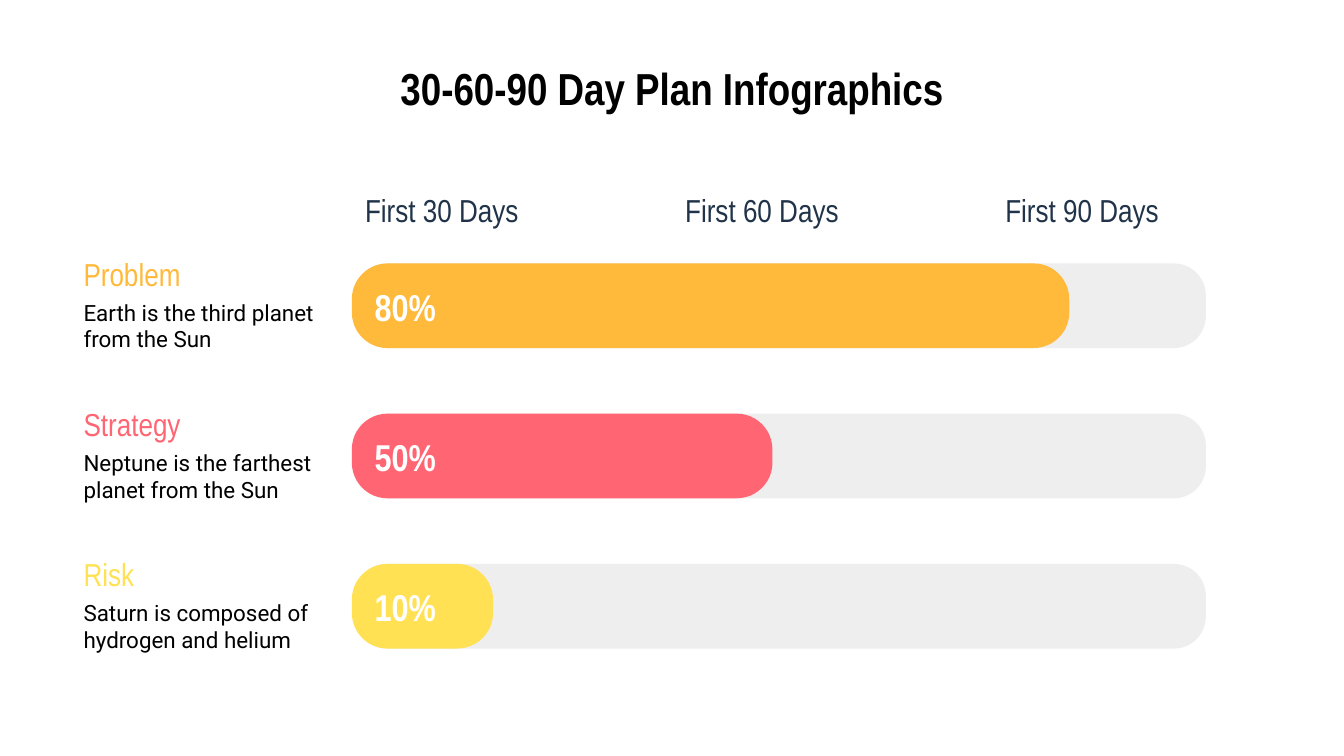
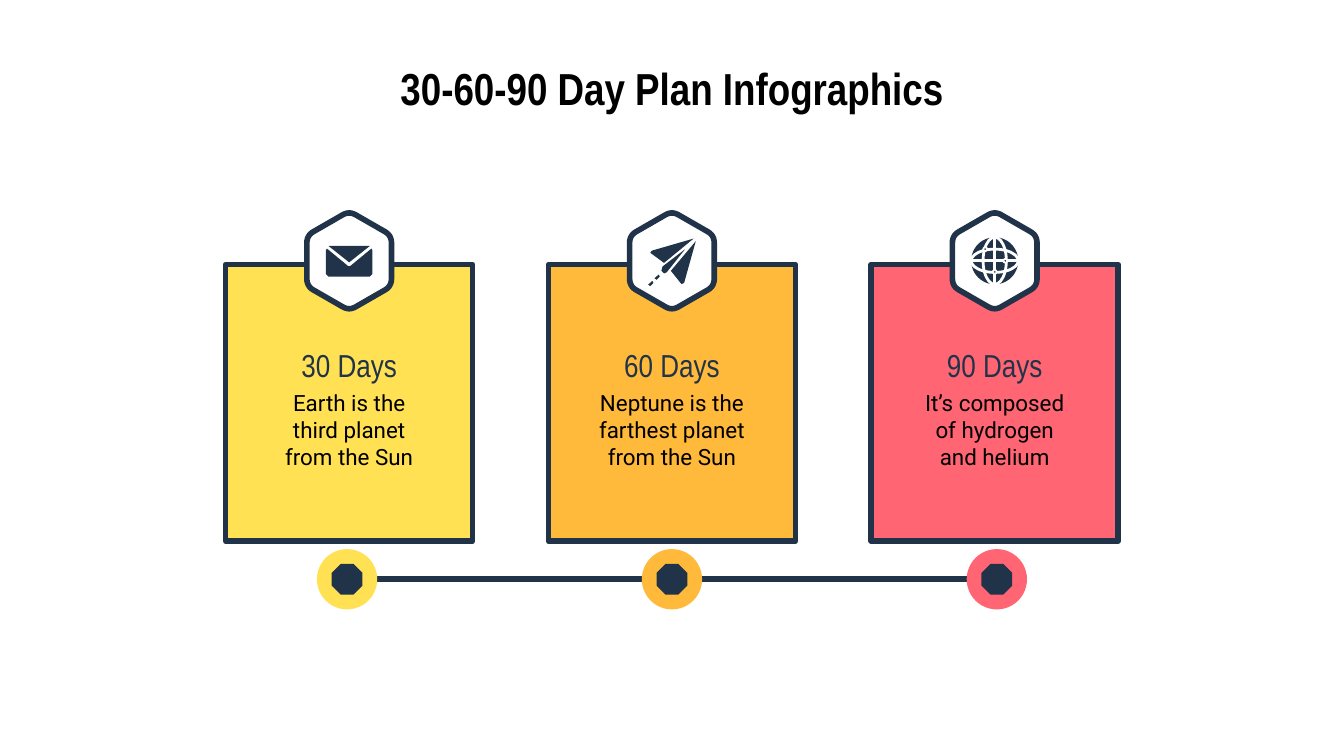
from dataclasses import dataclass
from typing import Any, NamedTuple

from lxml.etree import SubElement
from pptx import Presentation
from pptx.dml.color import RGBColor
from pptx.enum.shapes import MSO_CONNECTOR, MSO_SHAPE
from pptx.enum.text import MSO_ANCHOR, MSO_AUTO_SIZE, PP_ALIGN
from pptx.oxml.ns import qn
from pptx.shapes.autoshape import Shape
from pptx.slide import Slide
from pptx.util import Cm, Pt


@dataclass(frozen=True)
class Theme:
    black: RGBColor = RGBColor(0x00, 0x00, 0x00)
    white: RGBColor = RGBColor(0xFF, 0xFF, 0xFF)
    navy: RGBColor = RGBColor(0x20, 0x33, 0x49)
    track: RGBColor = RGBColor(0xEE, 0xEE, 0xEE)
    orange: RGBColor = RGBColor(0xFF, 0xB9, 0x3B)
    coral: RGBColor = RGBColor(0xFF, 0x65, 0x73)
    yellow: RGBColor = RGBColor(0xFF, 0xE1, 0x53)
    heading_font: str = "Arial Narrow"
    body_font: str = "Roboto"
    title_size: Pt = Pt(24)
    percent_size: Pt = Pt(20)
    heading_size: Pt = Pt(17)
    body_size: Pt = Pt(12)
    outline: Pt = Pt(3)
    globe_line: Pt = Pt(1.5)
    dot_line: Pt = Pt(1)


THEME = Theme()
TITLE = "30-60-90 Day Plan Infographics"
FRAME_FORMAT = {
    "word_wrap": True,
    "auto_size": MSO_AUTO_SIZE.NONE,
    "vertical_anchor": MSO_ANCHOR.MIDDLE,
    "margin_left": Cm(0.25),
    "margin_right": Cm(0.25),
    "margin_top": Cm(0.25),
    "margin_bottom": Cm(0.25),
}


class Box(NamedTuple):
    """A rectangle in centimetres."""
    left: float
    top: float
    width: float
    height: float

    def lengths(self) -> list[Cm]:
        return [Cm(value) for value in self]


class Point(NamedTuple):
    x: float
    y: float


@dataclass(frozen=True)
class TextStyle:
    font: str
    size: Pt
    color: RGBColor
    bold: bool = False
    alignment: PP_ALIGN = PP_ALIGN.LEFT


@dataclass(frozen=True)
class ProgressRow:
    name: str
    description: str
    percent: str
    bar_width: float
    color: RGBColor


@dataclass(frozen=True)
class DayCard:
    heading: str
    description: str
    icon: str
    color: RGBColor


ROWS = [
    ProgressRow("Problem", "Earth is the third planet from the Sun", "80%", 13.56, THEME.orange),
    ProgressRow("Strategy", "Neptune is the farthest planet from the Sun", "50%", 7.95, THEME.coral),
    ProgressRow("Risk", "Saturn is composed of hydrogen and helium", "10%", 2.67, THEME.yellow),
]
CARDS = [
    DayCard("30 Days", "Earth is the third planet from the Sun", "envelope", THEME.yellow),
    DayCard("60 Days", "Neptune is the farthest planet from the Sun", "plane", THEME.orange),
    DayCard("90 Days", "It’s composed of hydrogen and helium", "globe", THEME.coral),
]

# Outlines in centimetres from the centre of the badge.
HEXAGON = [(0, -0.94), (0.8, -0.48), (0.8, 0.48), (0, 0.94), (-0.8, 0.48), (-0.8, -0.48)]
TRAIL = [(-0.37, 0.38), (-0.45, 0.45), (-0.41, 0.48), (-0.35, 0.42)]
ICONS = {
    "envelope": [
        [(-0.42, -0.23), (-0.44, -0.2), (-0.44, 0.25), (-0.39, 0.3), (0.39, 0.3),
         (0.44, 0.25), (0.44, -0.2), (0.42, -0.23), (0.02, 0.1), (-0.02, 0.1)],
        [(-0.39, -0.28), (0, 0.03), (0.39, -0.28)],
    ],
    "plane": [
        [(0.41, -0.42), (-0.38, -0.19), (-0.41, -0.15), (-0.15, 0.04)],
        [(0.45, -0.37), (-0.02, 0.19), (0.18, 0.44), (0.23, 0.42)],
        [(0.25, -0.22), (-0.18, 0.11), (-0.2, 0.19), (-0.15, 0.24), (-0.1, 0.22)],
        TRAIL,
        [(x + 0.12, y - 0.12) for x, y in TRAIL],
    ],
}


def set_values(target: Any, values: dict[str, Any]) -> None:
    for name, value in values.items():
        setattr(target, name, value)


def write_text(shape: Shape, text: str, style: TextStyle) -> None:
    set_values(shape.text_frame, FRAME_FORMAT)
    paragraph = shape.text_frame.paragraphs[0]
    paragraph.text = text
    paragraph.alignment = style.alignment
    set_values(paragraph.font, {"name": style.font, "size": style.size, "bold": style.bold})
    paragraph.font.color.rgb = style.color


def add_text(slide: Slide, box: Box, text: str, style: TextStyle) -> None:
    write_text(slide.shapes.add_textbox(*box.lengths()), text, style)


def paint(shape: Shape, fill: RGBColor | None, line: RGBColor | None = None,
          line_width: Pt = THEME.outline) -> None:
    shape.shadow.inherit = False
    if fill is None:
        shape.fill.background()
    else:
        shape.fill.solid()
        shape.fill.fore_color.rgb = fill
    if line is None:
        shape.line.fill.background()
    else:
        shape.line.color.rgb = line
        shape.line.width = line_width


def add_preset(slide: Slide, preset: MSO_SHAPE, box: Box, fill: RGBColor | None,
               line: RGBColor | None = None, line_width: Pt = THEME.outline,
               adjustment: float | None = None) -> Shape:
    shape = slide.shapes.add_shape(preset, *box.lengths())
    if adjustment is not None:
        shape.adjustments[0] = adjustment
    paint(shape, fill, line, line_width)
    return shape


def add_centred(slide: Slide, preset: MSO_SHAPE, centre: Point, width: float, height: float,
                fill: RGBColor | None, **options: Any) -> None:
    box = Box(centre.x - width / 2, centre.y - height / 2, width, height)
    add_preset(slide, preset, box, fill, **options)


def add_outline(slide: Slide, centre: Point, points: list[tuple[float, float]],
                fill: RGBColor, line: RGBColor | None = None) -> None:
    placed = [(Cm(centre.x + x), Cm(centre.y + y)) for x, y in points]
    builder = slide.shapes.build_freeform(*placed[0])
    builder.add_line_segments(placed[1:], close=True)
    paint(builder.convert_to_shape(), fill, line)


def add_line(slide: Slide, start: Point, end: Point, color: RGBColor, width: Pt) -> None:
    connector = slide.shapes.add_connector(
        MSO_CONNECTOR.STRAIGHT, *[Cm(value) for value in (*start, *end)])
    connector.line.color.rgb = color
    connector.line.width = width
    SubElement(connector._element.spPr, qn("a:effectLst"))


def round_corners(points: list[tuple[float, float]], cut: float,
                  steps: int = 6) -> list[tuple[float, float]]:
    """Replace each corner by a quadratic curve; cut is the share of each side removed."""
    rounded = []
    for index, corner in enumerate(points):
        before, after = points[index - 1], points[(index + 1) % len(points)]
        for step in range(steps + 1):
            t = step / steps
            rounded.append(tuple(
                c + cut * ((1 - t) ** 2 * (b - c) + t ** 2 * (a - c))
                for b, c, a in zip(before, corner, after)))
    return rounded


def add_globe(slide: Slide, centre: Point) -> None:
    size, narrow = 0.89, 0.44
    add_centred(slide, MSO_SHAPE.OVAL, centre, size, size, THEME.navy)
    for width, height in ((narrow, size), (size, narrow)):
        add_centred(slide, MSO_SHAPE.OVAL, centre, width, height, None,
                    line=THEME.white, line_width=THEME.globe_line)
        reach_x, reach_y = (size / 2, 0) if width == size else (0, size / 2)
        add_line(slide, Point(centre.x - reach_x, centre.y - reach_y),
                 Point(centre.x + reach_x, centre.y + reach_y), THEME.white, THEME.globe_line)
    for x, y in ((-0.18, -0.22), (0.2, 0), (0, 0.21)):
        add_centred(slide, MSO_SHAPE.OVAL, Point(centre.x + x, centre.y + y), 0.07, 0.07,
                    THEME.navy, line=THEME.white, line_width=THEME.dot_line)


def add_titled_slide(presentation: Presentation) -> Slide:
    slide = presentation.slides.add_slide(presentation.slide_layouts[5])
    title = slide.shapes.title
    set_values(title, dict(zip(("left", "top", "width", "height"),
                               Box(0.5, 0.86, 24.4, 1.6).lengths())))
    write_text(title, TITLE, TextStyle(THEME.heading_font, THEME.title_size, THEME.black,
                                       True, PP_ALIGN.CENTER))
    return slide


def build_progress_slide(presentation: Presentation) -> None:
    slide = add_titled_slide(presentation)
    bar_left, bar_height = 6.65, 1.6
    heading = TextStyle(THEME.heading_font, THEME.heading_size, THEME.navy)
    percent = TextStyle(THEME.heading_font, THEME.percent_size, THEME.white, True)
    body = TextStyle(THEME.body_font, THEME.body_size, THEME.black)

    for index, days in enumerate((30, 60, 90)):
        add_text(slide, Box(bar_left + 6.05 * index, 3.38, 5.33, 1.19),
                 f"First {days} Days", heading)

    for index, row in enumerate(ROWS):
        top = 4.98 + 2.84 * index
        add_preset(slide, MSO_SHAPE.ROUNDED_RECTANGLE, Box(6.71, top, 16.08, bar_height),
                   THEME.track, adjustment=0.376)
        add_preset(slide, MSO_SHAPE.ROUNDED_RECTANGLE,
                   Box(bar_left, top, row.bar_width, bar_height), row.color, adjustment=0.422)
        label = add_preset(slide, MSO_SHAPE.ROUNDED_RECTANGLE,
                           Box(bar_left, top + 0.19, 3.3, 1.24), None, adjustment=0.5)
        write_text(label, row.percent, percent)
        add_text(slide, Box(1.33, top - 0.4, 5.21, 1.19), row.name,
                 TextStyle(THEME.heading_font, THEME.heading_size, row.color))
        add_text(slide, Box(1.33, top + 0.44, 5.21, 1.47), row.description, body)


def build_timeline_slide(presentation: Presentation) -> None:
    slide = add_titled_slide(presentation)
    middle, card_width, text_width = 12.7, 4.67, 3.5
    card_pitch, stop_pitch, stop_y = 6.1, 6.14, 10.95
    heading = TextStyle(THEME.heading_font, THEME.heading_size, THEME.navy,
                        alignment=PP_ALIGN.CENTER)
    body = TextStyle(THEME.body_font, THEME.body_size, THEME.black,
                     alignment=PP_ALIGN.CENTER)
    badge = round_corners(HEXAGON, 0.15)

    add_line(slide, Point(7.11, stop_y), Point(18.29, stop_y), THEME.navy, THEME.outline)
    for position, card in enumerate(CARDS, start=-1):
        centre = Point(middle + card_pitch * position, 4.93)
        add_preset(slide, MSO_SHAPE.RECTANGLE,
                   Box(centre.x - card_width / 2, 5, card_width, 5.23),
                   card.color, THEME.navy)
        add_outline(slide, centre, badge, THEME.white, THEME.navy)
        if card.icon == "globe":
            add_globe(slide, centre)
        else:
            for points in ICONS[card.icon]:
                add_outline(slide, centre, points, THEME.navy)

        text_left = centre.x - text_width / 2
        add_text(slide, Box(text_left, 6.3, text_width, 1.19), card.heading, heading)
        add_text(slide, Box(text_left, 7.39, text_width, 1.47), card.description, body)

        stop = Point(middle + stop_pitch * position, stop_y)
        add_centred(slide, MSO_SHAPE.OVAL, stop, 1.14, 1.14, card.color)
        add_centred(slide, MSO_SHAPE.OCTAGON, stop, 0.58, 0.58, THEME.navy, adjustment=0.293)


def main() -> None:
    presentation = Presentation()
    presentation.slide_width, presentation.slide_height = Cm(25.4), Cm(14.29)
    build_progress_slide(presentation)
    build_timeline_slide(presentation)
    presentation.save("out.pptx")


if __name__ == "__main__":
    main()
